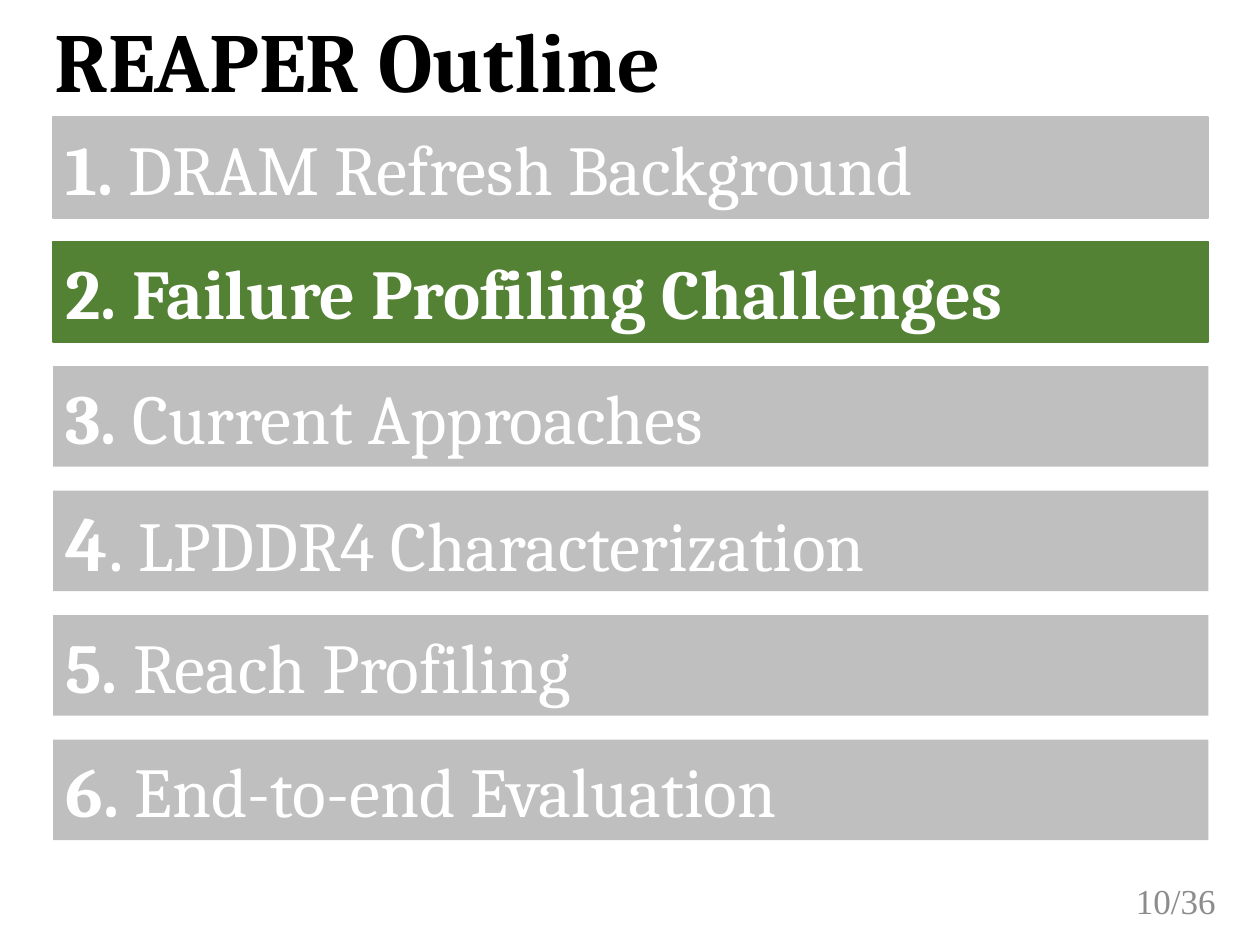
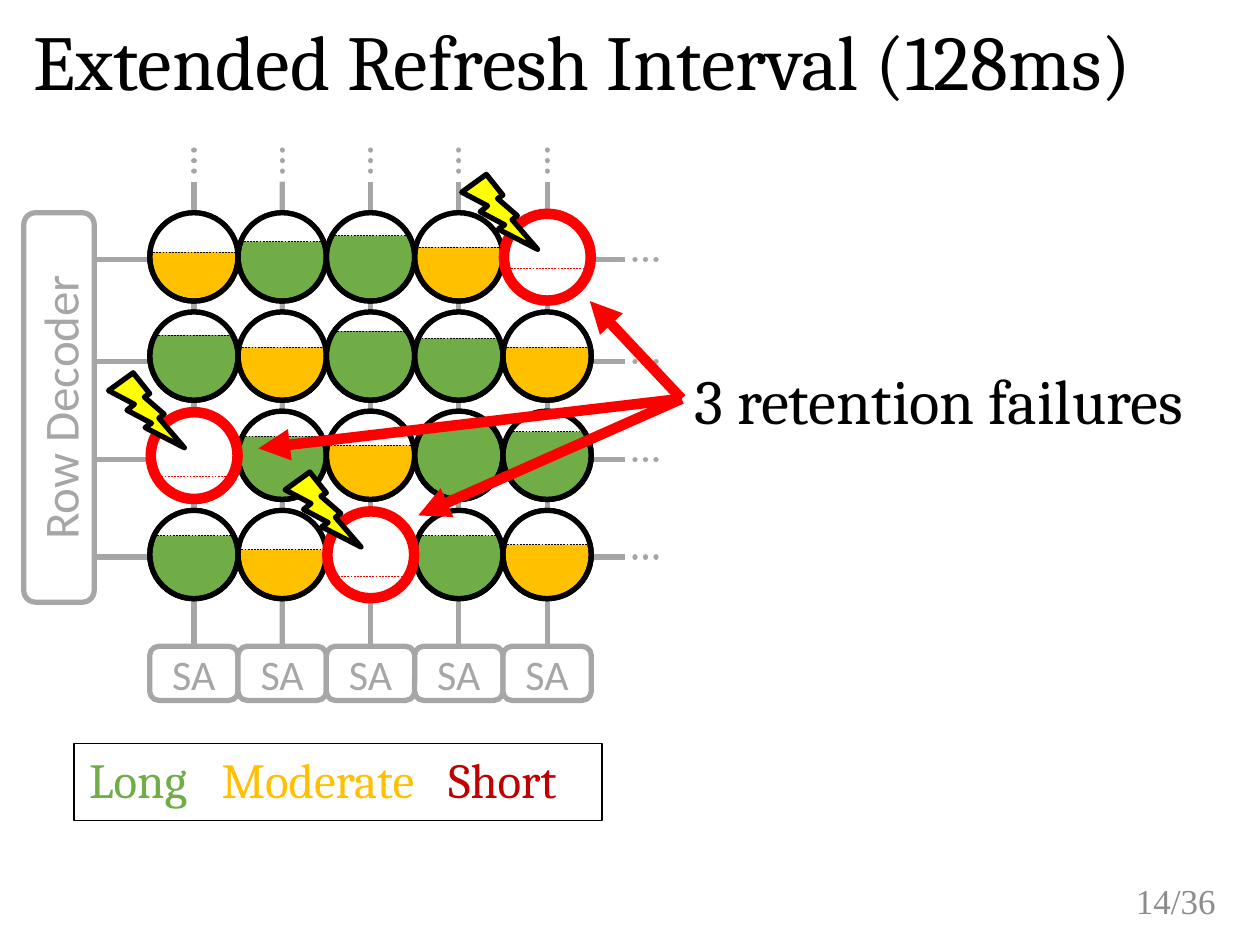
import math
import pptx
import pptx.util
import pptx.dml.color
import pptx.enum.dml
import pptx.enum.shapes
import pptx.enum.text
import pptx.oxml.ns
import pptx.shapes.autoshape
from lxml import etree

Cm, Pt = pptx.util.Cm, pptx.util.Pt
qn = pptx.oxml.ns.qn
rgb = pptx.dml.color.RGBColor.from_string
MSO = pptx.enum.shapes.MSO_SHAPE
STRAIGHT = pptx.enum.shapes.MSO_CONNECTOR.STRAIGHT
DASH = pptx.enum.dml.MSO_LINE
ANCHOR = pptx.enum.text.MSO_ANCHOR
ALIGN = pptx.enum.text.PP_ALIGN
NO_FIT = pptx.enum.text.MSO_AUTO_SIZE.NONE

BLACK, WHITE, GRAY, SILVER, RED = "000000", "FFFFFF", "A6A6A6", "BFBFBF", "FF0000"
RETENTION = {"L": "70AD47", "M": "FFC000", "S": "C00000"}


def paint(sp, fill=None, line=None, width=3, dash=None):
    """Fill and outline a shape, or style a connector, without a shadow."""
    if line:
        sp.line.color.rgb = rgb(line)
        sp.line.width = Pt(width)
        if dash:
            sp.line.dash_style = dash
    else:
        sp.line.fill.background()
    etree.SubElement(sp._element.spPr, qn("a:effectLst"))
    if isinstance(sp, pptx.shapes.autoshape.Shape):
        if fill:
            sp.fill.solid()
            sp.fill.fore_color.rgb = rgb(fill)
        else:
            sp.fill.background()
    return sp


def write(sp, runs, align=ALIGN.LEFT, anchor=ANCHOR.MIDDLE, spacing=1.0, wrap=True):
    """Put one paragraph of (text, colour, format) runs into a shape."""
    tf = sp.text_frame
    tf.word_wrap, tf.vertical_anchor, tf.auto_size = wrap, anchor, NO_FIT
    p = tf.paragraphs[0]
    p.alignment, p.line_spacing, p.space_before = align, spacing, Pt(0)
    for text, color, fmt in runs:
        r = p.add_run()
        r.text = text
        r.font.color.rgb = rgb(color)
        for name, value in fmt.items():
            setattr(r.font, name, value)


prs = pptx.Presentation()
prs.slide_width, prs.slide_height = Cm(25.4), Cm(19.05)

# Shared titles and page numbers
pages = [
    (5, "REAPER Outline", (0.84, 0.08, 22.86, 2.46), 48, True, ANCHOR.MIDDLE, "10/36"),
    (1, "Extended Refresh Interval (128ms)", (0.43, 0.18, 24.56, 2.11), 44.4, False,
     ANCHOR.BOTTOM, "14/36"),
]
for layout, title, box, size, bold, anchor, number in pages:
    s = prs.slides.add_slide(prs.slide_layouts[layout])
    sp = s.shapes.title
    sp.left, sp.top, sp.width, sp.height = [Cm(v) for v in box]
    write(sp, [(title, BLACK, {"name": "Cambria", "size": Pt(size), "bold": bold})],
          anchor=anchor, spacing=0.9)
    sp = s.shapes.add_textbox(Cm(22.02), Cm(17.65), Cm(2.74), Cm(1.02))
    write(sp, [(number, "8C8C8C", {"name": "Times New Roman", "size": Pt(20)})], ALIGN.RIGHT)
outline, grid = prs.slides

# Outline bars: bold part, plain part
CURRENT = 1
topics = [("1. ", "DRAM Refresh Background"), ("2. Failure Profiling Challenges", ""),
          ("3. ", "Current Approaches"), ("4", "LPDDR4 Characterization"),
          ("5. ", "Reach Profiling"), ("6. ", "End-to-end Evaluation")]
for i, (lead, topic) in enumerate(topics):
    color = "548235" if i == CURRENT else SILVER
    sp = outline.shapes.add_shape(MSO.RECTANGLE, Cm(1.07), Cm(2.36 + 2.51 * i),
                                  Cm(23.29), Cm(2.03))
    paint(sp, color, color if i <= CURRENT else None, 1)
    parts = [(lead, 40, True), (topic, 40, False)]
    if lead == "4":
        parts = [(lead, 44, True), (". ", 44, False), (topic, 40, False)]
    write(sp, [(text, WHITE, {"name": "Cambria", "size": Pt(size), "bold": bold})
               for text, size, bold in parts if text])

# Cell array geometry
shapes = grid.shapes
LEFT, TOP, COL, ROW, CELL = 3.02, 4.29, 1.78, 2.0, 1.78
RADIUS = CELL / 2
cells = ["MLLMS", "LMLLM", "SLMLL", "LMSLM"]
empty_depths = [
    [0.79, 0.58, 0.46, 0.69, 1.12],
    [0.46, 0.71, 0.38, 0.53, 0.71],
    [1.32, 0.51, 0.69, 0.28, 0.41],
    [0.51, 0.79, 1.32, 0.51, 0.69],
]
gray_text = {"name": "Calibri", "size": Pt(24)}

# Word lines
wires = []
for y in (5.23, 7.29, 9.27, 11.23):
    wires += [(1.6, y, 12.6, y, None), (12.8, y, 13.28, y, DASH.ROUND_DOT)]

# Sense amplifiers with their bit lines
for c in range(5):
    x = LEFT + COL * c + RADIUS
    sense_amp = shapes.add_shape(MSO.ROUNDED_RECTANGLE, Cm(x - RADIUS), Cm(13.03),
                                 Cm(CELL), Cm(1.09))
    paint(sense_amp, WHITE, GRAY)
    write(sense_amp, [("SA", GRAY, gray_text)], ALIGN.CENTER, wrap=False)
    bit_line = shapes.add_connector(STRAIGHT, Cm(x), Cm(13.03), Cm(x), Cm(3.66))
    bit_line.begin_connect(sense_amp, 0)
    paint(bit_line, line=GRAY)
    wires.append((x, 3.45, x, 2.97, DASH.ROUND_DOT))

for x1, y1, x2, y2, dash in wires:
    wire = shapes.add_connector(STRAIGHT, Cm(x1), Cm(y1), Cm(x2), Cm(y2))
    paint(wire, line=GRAY, dash=dash)
    if dash:
        wire.line._ln.set("cap", "rnd")

# Row decoder
sp = paint(shapes.add_shape(MSO.ROUNDED_RECTANGLE, Cm(0.48), Cm(4.29), Cm(1.42), Cm(7.85)),
           WHITE, GRAY)
write(sp, [("Row Decoder", GRAY, {**gray_text, "size": Pt(28)})], ALIGN.CENTER)
sp.text_frame._txBody.bodyPr.set("vert", "vert270")

# Legend
paint(shapes.add_shape(MSO.RECTANGLE, Cm(1.5), Cm(14.99), Cm(10.64), Cm(1.55)),
      line=BLACK, width=1)
for label, x, width in (("Long", 1.55, 2.87), ("Moderate", 4.22, 4.95), ("Short", 8.79, 2.87)):
    sp = shapes.add_textbox(Cm(x), Cm(14.99), Cm(width), Cm(1.55))
    write(sp, [(label, RETENTION[label[0]], {"name": "Cambria", "size": Pt(28)})],
          anchor=ANCHOR.TOP)

# Cells: coloured charge, white cap down to the charge level, outline
levels, failures = [], []
for j, kinds in enumerate(cells):
    for c, kind in enumerate(kinds):
        x, y, depth = LEFT + COL * c, TOP + ROW * j, empty_depths[j][c]
        box = Cm(x), Cm(y), Cm(CELL), Cm(CELL)
        paint(shapes.add_shape(MSO.OVAL, *box), RETENTION[kind], BLACK)
        cap = paint(shapes.add_shape(MSO.CHORD, *box), WHITE)
        half = math.degrees(math.acos(1 - depth / RADIUS))
        cap.adjustments[0] = (270 - half) * 0.6
        cap.adjustments[1] = (270 + half) % 360 * 0.6
        paint(shapes.add_shape(MSO.OVAL, *box), line=BLACK)
        reach = RADIUS * math.sin(math.radians(half))
        levels.append((x + RADIUS, y + depth, reach, RED if kind == "S" else BLACK))
        if kind == "S":
            failures.append((x, y))

# Failed cells and lightning bolts
for x, y in failures:
    paint(shapes.add_shape(MSO.OVAL, Cm(x + 0.02), Cm(y + 0.02), Cm(1.75), Cm(1.75)),
          WHITE, RED, 6)
    bolt = shapes.add_shape(MSO.LIGHTNING_BOLT, Cm(x - 0.77), Cm(y - 0.8), Cm(1.37), Cm(1.63))
    bolt.rotation = 352.7
    paint(bolt, "FFFF00", BLACK)

# Charge level lines
for x, y, reach, color in levels:
    level = shapes.add_connector(STRAIGHT, Cm(x - reach), Cm(y), Cm(x + reach), Cm(y))
    paint(level, line=color, width=0.25, dash=DASH.DASH)

# Failure count and its arrows
body = grid.placeholders[1]
body.left, body.top, body.width, body.height = Cm(13.74), Cm(7.34), Cm(11.65), Cm(1.4)
pPr = body.text_frame.paragraphs[0]._p.get_or_add_pPr()
pPr.set("marL", "0")
pPr.set("indent", "0")
etree.SubElement(pPr, qn("a:buNone"))
write(body, [("3 retention failures", BLACK, {"name": "Cambria", "size": Pt(36)})],
      anchor=ANCHOR.TOP, spacing=0.9)
for x, y in ((11.89, 6.07), (5.21, 9.04), (8.43, 10.39)):
    arrow = shapes.add_connector(STRAIGHT, Cm(13.74), Cm(8.04), Cm(x), Cm(y))
    arrow.begin_connect(body, 1)
    paint(arrow, line=RED, width=6)
    etree.SubElement(arrow.line._ln, qn("a:tailEnd"), type="triangle")

prs.save("out.pptx")
